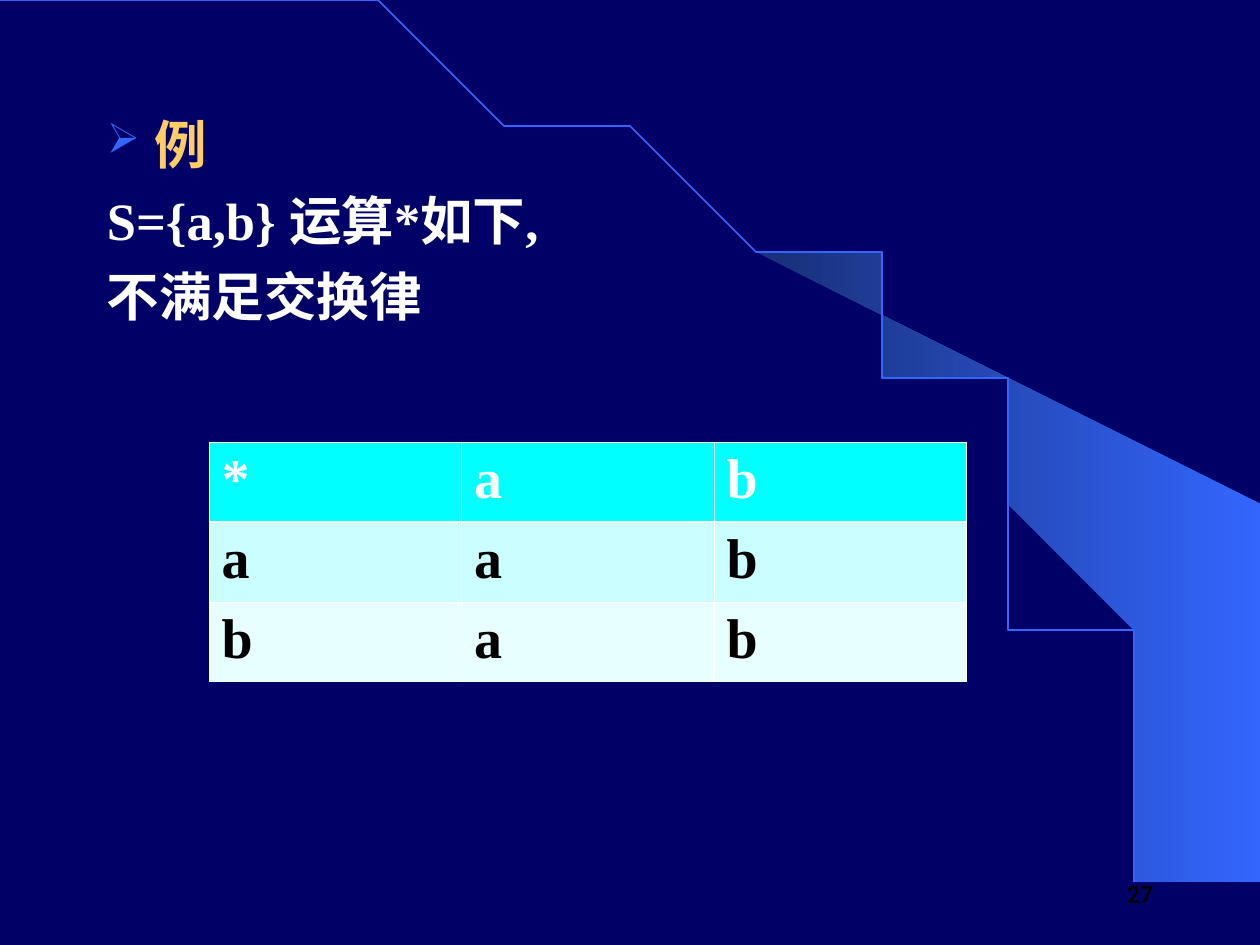
from dataclasses import dataclass
from math import cos, pi, sin

from lxml.etree import SubElement
from pptx import Presentation
from pptx.dml.color import RGBColor
from pptx.enum.text import PP_ALIGN as Align
from pptx.oxml.ns import qn
from pptx.util import Inches, Pt

COLORS = {
    "background": "000066", "blue": "3366FF", "shade": "182F76",
    "gold": "FFCC66", "white": "FFFFFF", "black": "000000",
    "header": "00FFFF", "odd": "CBFFFF", "even": "E7FFFF",
}
SERIF = "Times New Roman"
ARC_WIDTH, ARC_HEIGHT, ARC_STEPS = 9.2, 7.49, 60
BEAM = [
    (9.2, 7.48), (9.99, 7.49), (9.99, 4.23), (5.89, 1.73), (6.24, 1.99),
    (6.53, 2.22), (6.85, 2.5), (7.16, 2.8), (7.62, 3.3), (8.03, 3.84),
    (8.32, 4.31), (8.58, 4.79), (8.78, 5.28), (8.93, 5.72), (9.03, 6.09),
    (9.13, 6.56), (9.17, 6.96),
]


@dataclass
class Statement:
    text: str
    color: str = "white"
    bullet: str = ""


@dataclass
class OperationRow:
    values: tuple[str, ...]
    fill: str
    color: str = "black"
    top: float = 0.45
    bottom: float = 0.45


STATEMENTS = [
    Statement("例", "gold", "➢"),
    Statement("S={a,b} 运算*如下,"),
    Statement("不满足交换律"),
]
OPERATION = [
    OperationRow(("*", "a", "b"), "header", "white", bottom=1.47),
    OperationRow(("a", "a", "b"), "odd", top=1.47),
    OperationRow(("b", "a", "b"), "even"),
]


def rgb(name: str) -> RGBColor:
    return RGBColor.from_string(COLORS[name])


def write(paragraph, text: str, *, size: float, color: str, font: str | None = SERIF,
          align=Align.LEFT, before: float = 0) -> None:
    paragraph.alignment = align
    paragraph.space_before = Pt(before)
    run = paragraph.add_run()
    run.text = text
    run.font.size = Pt(size)
    run.font.bold = True
    run.font.color.rgb = rgb(color)
    if font:
        run.font.name = font


def add_outline(slide, points: list[tuple[float, float]], closed: bool):
    builder = slide.shapes.build_freeform(*points[0], scale=Inches(1))
    builder.add_line_segments(points[1:], close=closed)
    outline = builder.convert_to_shape()
    outline.shadow.inherit = False
    return outline


def draw_background(slide) -> None:
    slide.background.fill.solid()
    slide.background.fill.fore_color.rgb = rgb("background")

    beam = add_outline(slide, BEAM, True)
    beam.line.fill.background()
    beam.fill.gradient()
    beam.fill.gradient_angle = 0
    for stop, name, position in zip(beam.fill.gradient_stops, ("shade", "blue"), (0, 1)):
        stop.color.rgb = rgb(name)
        stop.position = position

    angles = [pi / 2 * step / ARC_STEPS for step in range(ARC_STEPS + 1)]
    curve = [(ARC_WIDTH * sin(a), ARC_HEIGHT * (1 - cos(a))) for a in angles]
    arc = add_outline(slide, curve, False)
    arc.fill.background()
    arc.line.color.rgb = rgb("blue")
    arc.line.width = Pt(1)


def add_text_frame(slide, left: float, top: float, width: float, height: float):
    frame = slide.shapes.add_textbox(
        Inches(left), Inches(top), Inches(width), Inches(height)).text_frame
    frame.word_wrap = True
    return frame


def set_bullet(paragraph, symbol: str) -> None:
    properties = paragraph._p.get_or_add_pPr()
    properties.set("marL", str(Inches(0.38)))
    properties.set("indent", str(Inches(-0.38)))
    if not symbol:
        SubElement(properties, qn("a:buNone"))
        return
    bullet_color = SubElement(properties, qn("a:buClr"))
    SubElement(bullet_color, qn("a:srgbClr"), val=COLORS["blue"])
    SubElement(properties, qn("a:buSzPct"), val="80000")
    SubElement(properties, qn("a:buChar"), char=symbol)


def draw_statements(slide, statements: list[Statement]) -> None:
    frame = add_text_frame(slide, 0.75, 0.84, 8.5, 5.83)
    for index, statement in enumerate(statements):
        paragraph = frame.add_paragraph() if index else frame.paragraphs[0]
        set_bullet(paragraph, statement.bullet)
        write(paragraph, statement.text, size=30, color=statement.color,
              before=7.5 if index else 0)


def set_borders(cell, top: float, bottom: float) -> None:
    properties = cell._tc.get_or_add_tcPr()
    widths = {"a:lnL": 0.45, "a:lnR": 0.45, "a:lnT": top, "a:lnB": bottom}
    for side, width in widths.items():
        border = SubElement(properties, qn(side), w=str(Pt(width)))
        fill = SubElement(border, qn("a:solidFill"))
        SubElement(fill, qn("a:srgbClr"), val=COLORS["white"])


def draw_operation(slide, rows: list[OperationRow]) -> None:
    table = slide.shapes.add_table(
        len(rows), len(rows[0].values),
        Inches(1.66), Inches(3.51), Inches(6.01), Inches(1.9)).table
    for row_index, row in enumerate(rows):
        for column_index, value in enumerate(row.values):
            cell = table.cell(row_index, column_index)
            set_borders(cell, row.top, row.bottom)
            cell.fill.solid()
            cell.fill.fore_color.rgb = rgb(row.fill)
            write(cell.text_frame.paragraphs[0], value, size=32, color=row.color)


def main() -> None:
    deck = Presentation()
    deck.slide_width, deck.slide_height = Inches(10), Inches(7.5)
    slide = deck.slides.add_slide(deck.slide_layouts[6])
    draw_background(slide)
    draw_statements(slide, STATEMENTS)
    draw_operation(slide, OPERATION)
    page_number = add_text_frame(slide, 7.25, 6.91, 2, 0.36)
    write(page_number.paragraphs[0], "27", size=15, color="black", font=None,
          align=Align.RIGHT)
    deck.save("out.pptx")


if __name__ == "__main__":
    main()
